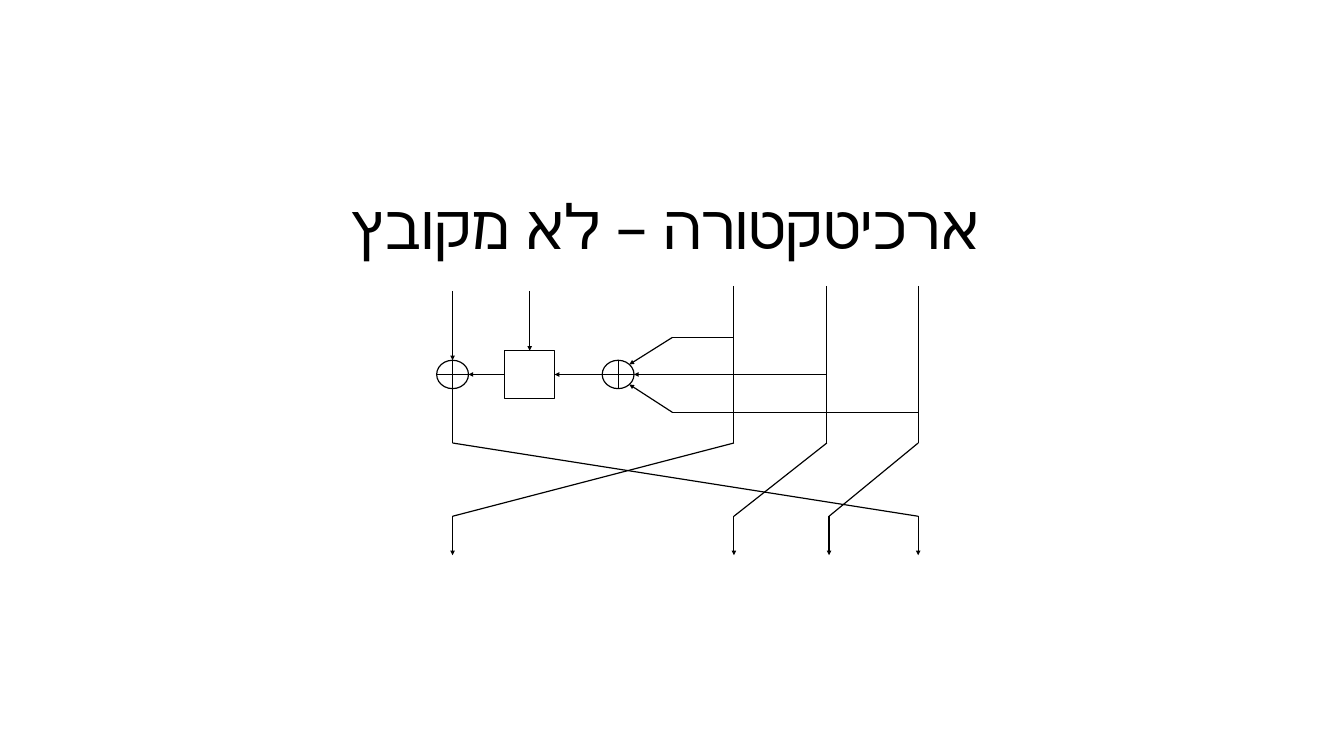
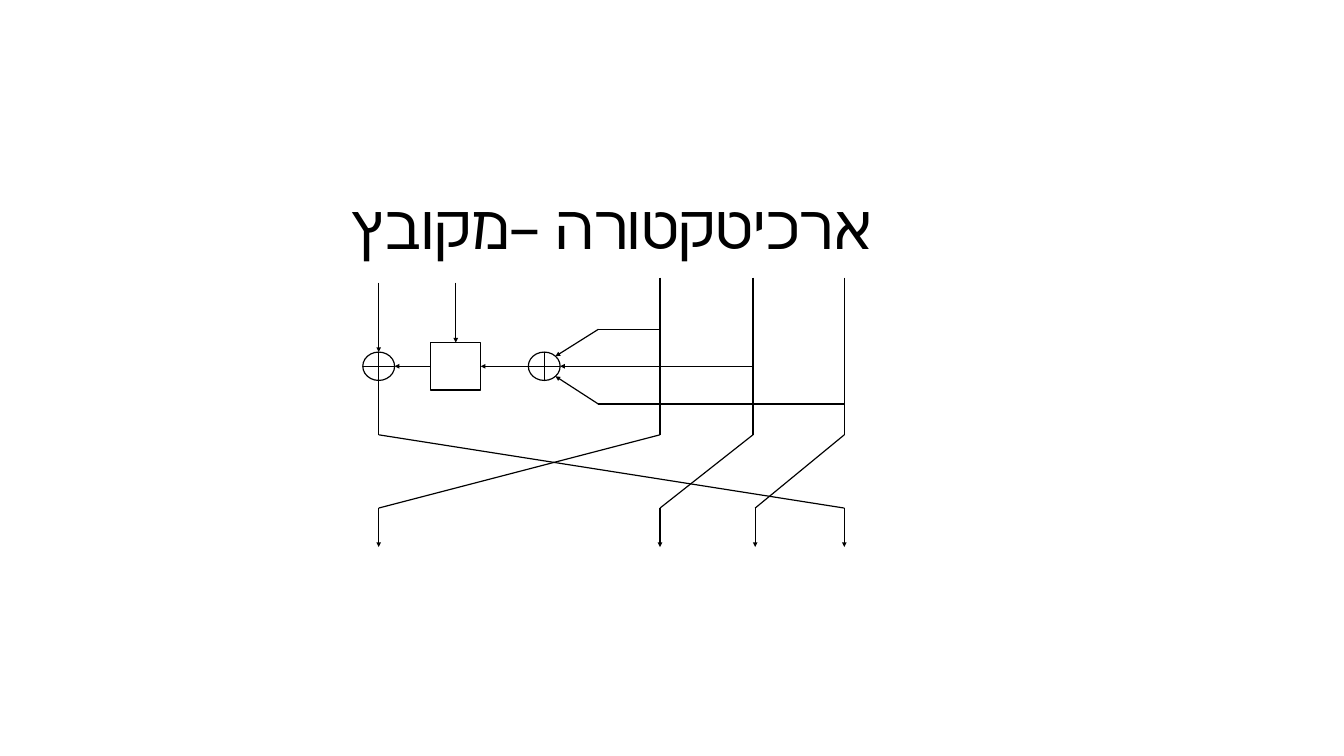
from dataclasses import dataclass
from math import sqrt
from typing import NamedTuple

from lxml import etree
from pptx import Presentation
from pptx.dml.color import RGBColor
from pptx.enum.lang import MSO_LANGUAGE_ID
from pptx.enum.shapes import MSO_CONNECTOR, MSO_SHAPE
from pptx.enum.text import MSO_ANCHOR, PP_ALIGN
from pptx.oxml.ns import qn
from pptx.util import Pt

STRAIGHT = MSO_CONNECTOR.STRAIGHT
RING = MSO_SHAPE.FLOWCHART_CONNECTOR
BOX = MSO_SHAPE.FLOWCHART_PROCESS
MIDDLE = MSO_ANCHOR.MIDDLE
LEFT = PP_ALIGN.LEFT
HEBREW = MSO_LANGUAGE_ID.HEBREW
TOP_SIDE, LEFT_SIDE, RIGHT_SIDE = 0, 1, 3


@dataclass(frozen=True)
class Theme:
    ink: RGBColor = RGBColor(0, 0, 0)
    paper: RGBColor = RGBColor(255, 255, 255)
    font: str = "Lato"
    title: float = 78.2
    line: float = 1.5


class Page(NamedTuple):
    title: str
    left: float
    top: float
    grouped: bool


class Wire(NamedTuple):
    x1: float
    y1: float
    x2: float
    y2: float
    arrow: bool = False


THEME = Theme()
PAGES = [
    Page("ארכיטקטורה – לא מקובץ", 574.6, 362.9, False),
    Page("ארכיטקטורה –מקובץ", 480.8, 352.5, True),
]

MAIN, KEY, SUM, TURN = 0, 97.9, 210.2, 279
LANES = (357.2, 475.2, 591.2)
ENDS = (MAIN, 357.2, 478, 591.2)
INPUT, MID, BEND, JOIN, TIP = 6.3, 112.5, 199.5, 292.5, 342
TAPS = (65.5, MID, 160.5)
RX, RY = 20.2, 18
BX, BY = 31.7, 30


def list_wires() -> list[Wire]:
    wires = [
        Wire(MAIN, INPUT, MAIN, MID - RY, True),
        Wire(MAIN, MID + RY, MAIN, BEND),
    ]
    for x in (MAIN, SUM):
        wires += [
            Wire(x, MID - RY, x, MID + RY),
            Wire(x - RX, MID, x + RX, MID),
        ]
    for step, (lane, tap) in enumerate(zip(LANES, TAPS), -1):
        reach = RX / sqrt(1 + abs(step))
        wires += [
            Wire(lane, 0, lane, BEND),
            Wire(lane, tap, TURN, tap),
            Wire(TURN, tap, SUM + reach, MID + step * RY / sqrt(2), True),
        ]
    for start, end in zip((*LANES, MAIN), ENDS):
        wires += [
            Wire(start, BEND, end, JOIN),
            Wire(end, JOIN, end, TIP, True),
        ]
    return wires


def add_wire(shapes, page: Page, wire: Wire):
    link = shapes.add_connector(
        STRAIGHT,
        Pt(page.left + wire.x1), Pt(page.top + wire.y1),
        Pt(page.left + wire.x2), Pt(page.top + wire.y2),
    )
    link.line.color.rgb = THEME.ink
    link.line.width = Pt(THEME.line)
    props = link._element.spPr
    if wire.arrow:
        etree.SubElement(props.find(qn("a:ln")), qn("a:tailEnd"), type="triangle")
    etree.SubElement(props, qn("a:effectLst"))
    return link


def add_node(shapes, page: Page, kind, x: float, rx: float, ry: float):
    node = shapes.add_shape(
        kind,
        Pt(page.left + x - rx), Pt(page.top + MID - ry),
        Pt(2 * rx), Pt(2 * ry),
    )
    node.shadow.inherit = False
    node.fill.solid()
    node.fill.fore_color.rgb = THEME.paper
    node.line.color.rgb = THEME.ink
    node.line.width = Pt(THEME.line)
    return node


def draw_cipher(shapes, page: Page) -> None:
    for x in (MAIN, SUM):
        add_node(shapes, page, RING, x, RX, RY)
    box = add_node(shapes, page, BOX, KEY, BX, BY)
    for wire in list_wires():
        add_wire(shapes, page, wire)
    key = add_wire(shapes, page, Wire(KEY, INPUT, KEY, MID - BY, True))
    key.end_connect(box, TOP_SIDE)
    feed = add_wire(shapes, page, Wire(SUM - RX, MID, KEY + BX, MID, True))
    feed.end_connect(box, RIGHT_SIDE)
    out = add_wire(shapes, page, Wire(KEY - BX, MID, MAIN + RX, MID, True))
    out.begin_connect(box, LEFT_SIDE)


def add_title(slide, text: str) -> None:
    frame = slide.shapes.add_textbox(Pt(439.2), Pt(239), Pt(828), Pt(104.4)).text_frame
    frame.word_wrap = True
    frame.vertical_anchor = MIDDLE
    frame.text = text
    para = frame.paragraphs[0]
    para.alignment = LEFT
    para.line_spacing = 0.9
    para._p.get_or_add_pPr().set("rtl", "1")
    font = para.runs[0].font
    font.size = Pt(THEME.title)
    font.name = THEME.font
    font.color.rgb = THEME.ink
    font.language_id = HEBREW


def main() -> None:
    deck = Presentation()
    deck.slide_width, deck.slide_height = Pt(1706.4), Pt(959.76)
    blank = deck.slide_layouts[6]
    for page in PAGES:
        slide = deck.slides.add_slide(blank)
        host = slide.shapes.add_group_shape() if page.grouped else slide
        draw_cipher(host.shapes, page)
        add_title(slide, page.title)
    deck.save("out.pptx")


if __name__ == "__main__":
    main()
